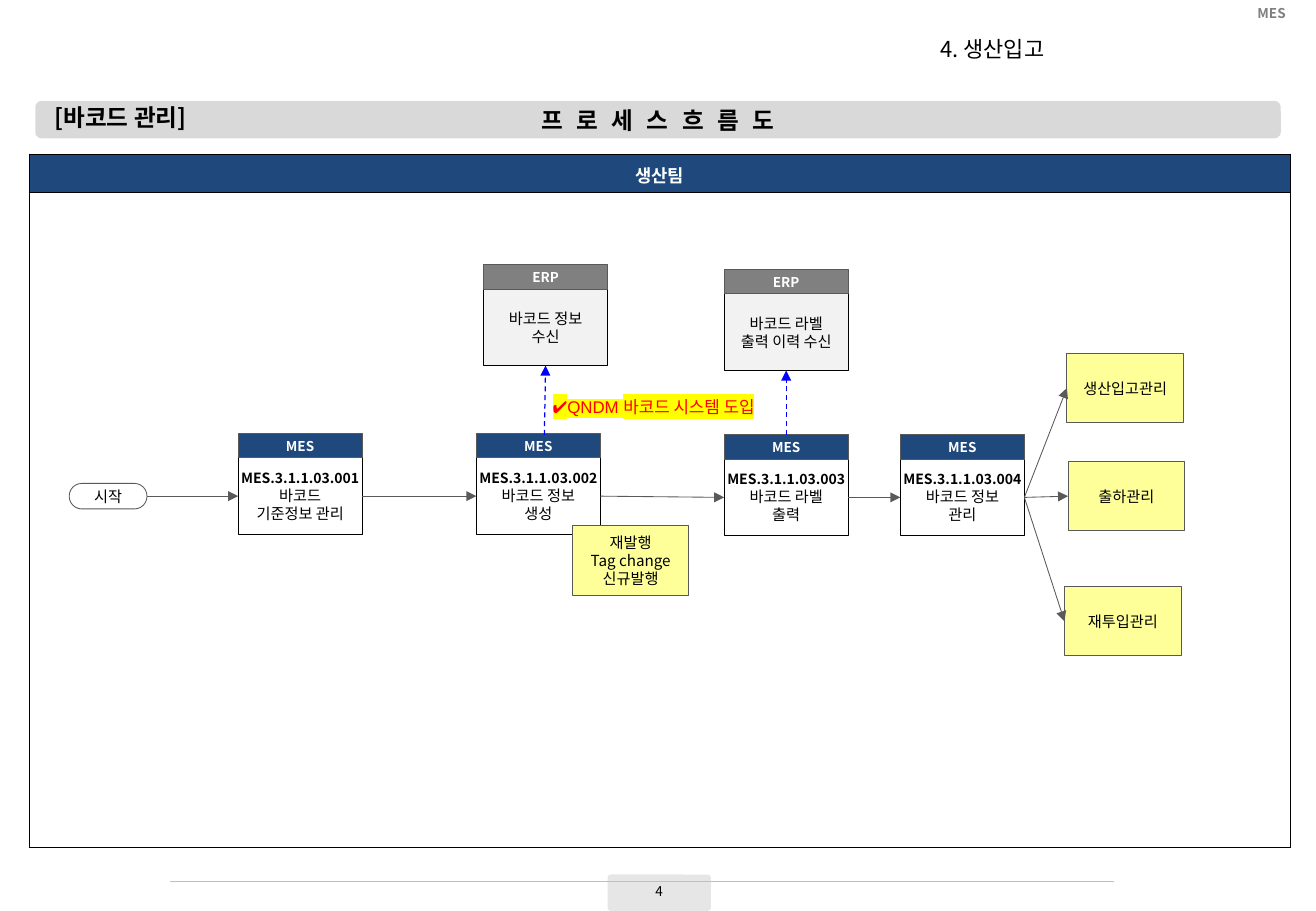
from lxml.etree import SubElement
from pptx import Presentation
from pptx.dml.color import RGBColor
from pptx.enum.dml import MSO_LINE
from pptx.enum.shapes import MSO_CONNECTOR, MSO_SHAPE as SHAPE
from pptx.enum.text import MSO_ANCHOR as ANCHOR, MSO_AUTO_SIZE, PP_ALIGN as ALIGN
from pptx.oxml.ns import qn
from pptx.util import Pt

PX = 9144
FONT = "Noto Sans CJK KR"
NAVY, GRAY, EDGE, ARROW = "1F497D", "808080", "595959", "5A5A5A"
TOP, LEFT, BOTTOM, RIGHT = range(4)
CARD_W, HEAD_H, BODY_H = 102, 20, 63
NOTE_W, NOTE_H = 96, 57
CODE_SIZE = 8.3

CARDS = {
    "standard": (196, 357, "MES", "MES.3.1.1.03.001", "바코드\n기준정보 관리"),
    "create": (392, 357, "MES", "MES.3.1.1.03.002", "바코드 정보\n생성"),
    "print": (596, 358, "MES", "MES.3.1.1.03.003", "바코드 라벨\n출력"),
    "manage": (741, 358, "MES", "MES.3.1.1.03.004", "바코드 정보\n관리"),
    "receive": (398, 218, "ERP", "", "바코드 정보\n수신"),
    "history": (596, 222, "ERP", "", "바코드 라벨\n출력 이력 수신"),
}
SYSTEMS = {"MES": (NAVY, "FFFFFF"), "ERP": (GRAY, "F2F2F2")}
NOTES = {
    "reissue": (471, 433, "재발행\nTag change\n신규발행"),
    "stock": (878, 291, "생산입고관리"),
    "ship": (879, 380, "출하관리"),
    "reinput": (876, 483, "재투입관리"),
}
FLOWS = [
    ("start", "standard"), ("standard", "create"), ("create", "print"), ("print", "manage"),
    ("manage", "stock"), ("manage", "ship"), ("manage", "reinput"),
]


def rgb(value):
    return RGBColor.from_string(value)


def write(frame, text, size=9, color="000000", bold=False, font=FONT, align=ALIGN.CENTER,
          anchor=ANCHOR.MIDDLE, inset=(10, 5), wrap=True, lead="", lead_size=None,
          highlight=None, spacing=None):
    frame.auto_size = MSO_AUTO_SIZE.NONE
    frame.word_wrap = wrap
    frame.vertical_anchor = anchor
    frame.margin_left = frame.margin_right = inset[0] * PX
    frame.margin_top = frame.margin_bottom = inset[1] * PX
    for index, line in enumerate(text.split("\n")):
        paragraph = frame.add_paragraph() if index else frame.paragraphs[0]
        paragraph.alignment = align
        pieces = [(line, bold, font, size)]
        if lead and index == 0:
            pieces.insert(0, (lead, True, FONT, lead_size or size))
        for order, (words, heavy, face, points) in enumerate(pieces):
            if order and lead_size:
                paragraph.add_line_break()
            run = paragraph.add_run()
            run.text = words
            run.font.size, run.font.bold = Pt(points), heavy
            run.font.color.rgb = rgb(color)
            run.font.name = face
            props = run._r.get_or_add_rPr()
            latin = props.find(qn("a:latin"))
            east = SubElement(props, qn("a:ea"), typeface=FONT)
            latin.addnext(east)
            if highlight:
                mark = SubElement(props, qn("a:highlight"))
                SubElement(mark, qn("a:srgbClr"), val=highlight)
                latin.addprevious(mark)
            if spacing:
                props.set("spc", str(spacing))


def place(box):
    return [value * PX for value in box]


def block(box, fill, edge=None, kind=SHAPE.RECTANGLE):
    shape = slide.shapes.add_shape(kind, *place(box))
    shape.shadow.inherit = False
    shape.fill.solid()
    shape.fill.fore_color.rgb = rgb(fill)
    if edge:
        shape.line.color.rgb = rgb(edge)
        shape.line.width = Pt(0.5)
    else:
        shape.line.fill.background()
    return shape


def label(box, text, **style):
    write(slide.shapes.add_textbox(*place(box)).text_frame, text, **style)


def connect(ends, color, width, begin=None, end=None, dashed=False, arrow=True):
    link = slide.shapes.add_connector(MSO_CONNECTOR.STRAIGHT, *place(ends))
    if begin:
        link.begin_connect(*begin)
    if end:
        link.end_connect(*end)
    link.line.color.rgb = rgb(color)
    link.line.width = Pt(width)
    if dashed:
        link.line.dash_style = MSO_LINE.DASH
    if arrow:
        SubElement(link.line._get_or_add_ln(), qn("a:tailEnd"), type="triangle")
    SubElement(link._element.spPr, qn("a:effectLst"))


def border(cell):
    props = cell._tc.get_or_add_tcPr()
    for index, side in enumerate(("lnL", "lnR", "lnT", "lnB")):
        line = SubElement(props, qn(f"a:{side}"), w=str(Pt(0.5)))
        SubElement(SubElement(line, qn("a:solidFill")), qn("a:srgbClr"), val="000000")
        props.insert(index, line)


deck = Presentation()
deck.slide_width, deck.slide_height = 1083 * PX, 750 * PX
slide = deck.slides.add_slide(deck.slide_layouts[5])

title = slide.shapes.title
title.left, title.top, title.width, title.height = place((764, 19, 319, 42))
write(title.text_frame, "4. 생산입고", size=13, align=ALIGN.LEFT)

label((749, 4, 319, 13), "MES", size=8, color=GRAY, bold=True, align=ALIGN.RIGHT, inset=(10, 0))
page = block((500, 720, 85, 30), "E6E6E6", kind=SHAPE.ROUNDED_RECTANGLE)
page.adjustments[0] = 0.09
label((500, 722, 85, 24), "4", size=8, anchor=ANCHOR.TOP)
connect((917, 726, 140, 726), "BFBFBF", 0.75, arrow=False)

banner = block((29, 83, 1025, 31), "D9D9D9", kind=SHAPE.ROUNDED_RECTANGLE)
write(banner.text_frame, "프 로 세 스 흐 름 도", size=14, bold=True, spacing=235)
label((35, 80, 139, 34), "[바코드 관리]", size=14, bold=True, align=ALIGN.LEFT,
      anchor=ANCHOR.TOP, wrap=False)

team = slide.shapes.add_table(2, 1, *place((24, 127, 1038, 571))).table
team.first_row = team.horz_banding = False
for row, (height, fill) in enumerate(((31, NAVY), (540, "FFFFFF"))):
    team.rows[row].height = height * PX
    cell = team.cell(row, 0)
    cell.fill.solid()
    cell.fill.fore_color.rgb = rgb(fill)
    border(cell)
heading = team.cell(0, 0)
write(heading.text_frame, "생산팀", size=10.5, color="FFFFFF", bold=True)
heading.vertical_anchor = ANCHOR.MIDDLE
heading.margin_left = heading.margin_right = 5 * PX
heading.margin_top = heading.margin_bottom = 0
heading.text_frame.paragraphs[0].line_spacing = 1.1
heading.text_frame.paragraphs[0].space_before = Pt(3)

start = block((57, 398, 64, 21), "FFFFFF", EDGE, SHAPE.FLOWCHART_TERMINATOR)
write(start.text_frame, "시작", wrap=False)
nodes, heads = {"start": start}, {}
for key, (left, top, system, code, text) in CARDS.items():
    head_fill, body_fill = SYSTEMS[system]
    nodes[key] = block((left, top + HEAD_H, CARD_W, BODY_H), body_fill, "000000")
    write(nodes[key].text_frame, text, lead=code, lead_size=CODE_SIZE, inset=(0, 5))
    heads[key] = block((left, top, CARD_W, HEAD_H), head_fill, EDGE)
    write(heads[key].text_frame, system, size=8, color="FFFFFF", bold=True, wrap=False)
for key, (left, top, text) in NOTES.items():
    nodes[key] = block((left, top, NOTE_W, NOTE_H), "FFFF99", EDGE)
    write(nodes[key].text_frame, text, inset=(0, 5))

for source, target in FLOWS:
    connect((0, 0, 0, 0), ARROW, 0.5, (nodes[source], RIGHT), (nodes[target], LEFT))
connect((448, 358, 449, 301), "0000FF", 0.75, end=(nodes["receive"], BOTTOM), dashed=True)
connect((647, 358, 647, 305), "0000FF", 0.75, (heads["print"], TOP),
        (nodes["history"], BOTTOM), dashed=True)

label((445, 322, 208, 27), "QNDM 바코드 시스템 도입", lead="✔", size=10, color="FF0000",
      font="Arial", align=ALIGN.LEFT, anchor=ANCHOR.TOP, wrap=False, highlight="FFFF00")

deck.save("out.pptx")
